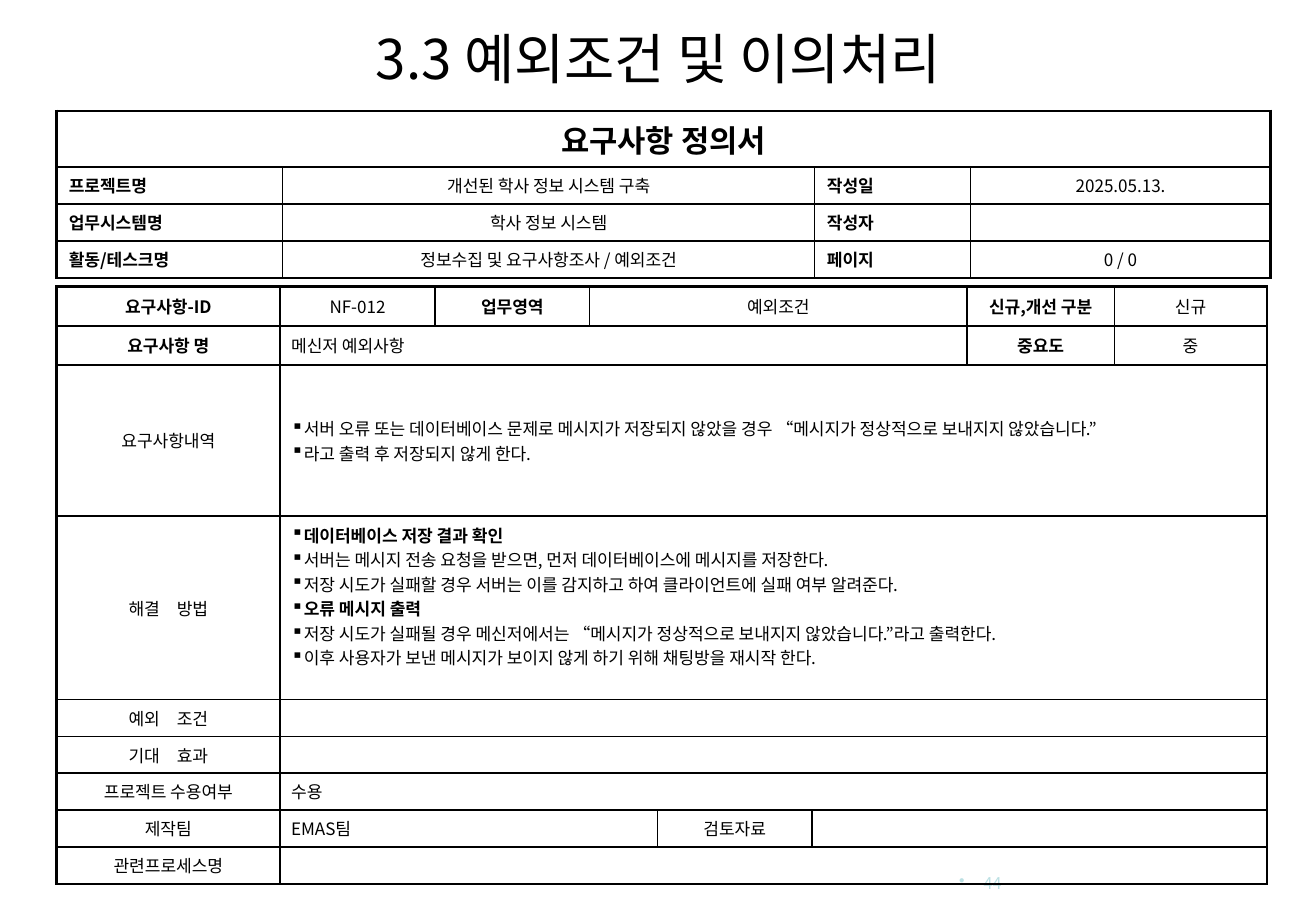
"""Build the requirement definition slide for exception handling."""
from pptx import Presentation
from pptx.dml.color import RGBColor
from pptx.enum.text import MSO_ANCHOR, PP_ALIGN
from pptx.oxml.ns import qn
from pptx.oxml.xmlchemy import OxmlElement
from pptx.util import Inches, Pt
from lxml.etree import SubElement

THEME = {
    "font": "Noto Sans CJK KR", "ink": "000000", "pale": "BBE0E3",
    "title": 32, "head": 18, "body": 10, "page": 9.5, "thin": 1, "thick": 1.5,
}
ALIGN = {"l": PP_ALIGN.LEFT, "c": PP_ALIGN.CENTER, "r": PP_ALIGN.RIGHT}
WIDE, HIGH = 10.71, 7.5
LEFT = 0.46


def write(frame, text, size="body", bold=False, align="l", ink="ink", mark=None, hang=0,
          heads=(), anchor=MSO_ANCHOR.MIDDLE):
    """Fill a text frame or cell, one paragraph per line."""
    frame.vertical_anchor = anchor
    body = getattr(frame, "text_frame", frame)
    body.word_wrap = True
    for i, line in enumerate(text.split("\n")):
        para = body.add_paragraph() if i else body.paragraphs[0]
        para.alignment = ALIGN[align]
        if mark:
            props = para._p.get_or_add_pPr()
            props.set("marL", str(Inches(hang)))
            props.set("indent", str(-Inches(hang)))
            SubElement(props, qn("a:buChar"), char=mark)
        if not line:
            SubElement(para._p, qn("a:endParaRPr"), sz=str(THEME[size] * 100))
            continue
        run = para.add_run()
        run.text = line
        font = run.font
        font.size, font.bold = Pt(THEME[size]), bold or line in heads
        font.color.rgb = RGBColor.from_string(THEME[ink])
        font.name = THEME["font"]
        SubElement(run._r.get_or_add_rPr(), qn("a:ea"), typeface=THEME["font"])


def grid(slide, top, cols, rows, cells, pad, thick):
    """Draw a ruled table; each cell is text, span and format."""
    shape = slide.shapes.add_table(len(rows), len(cols), Inches(LEFT), Inches(top),
                                   Inches(sum(cols)), Inches(sum(rows)))
    table = shape.table
    table.first_row = table.horz_banding = False
    for part, sizes in ((table.columns, cols), (table.rows, rows)):
        for item, size in zip(part, sizes):
            if part is table.columns:
                item.width = Inches(size)
            else:
                item.height = Inches(size)
    for r, row in enumerate(cells):
        c = 0
        for text, span, form in row:
            cell = table.cell(r, c)
            if span > 1:
                cell.merge(table.cell(r, c + span - 1))
            cell.margin_left = cell.margin_right = Inches(pad)
            cell.margin_top = cell.margin_bottom = Inches(0.05)
            write(cell, text, **form)
            for k in range(c, c + span):
                box = table.cell(r, k)
                box.fill.background()
                props = box._tc.get_or_add_tcPr()
                edges = {"L": c == 0, "R": c + span == len(cols),
                         "T": r in thick, "B": r + 1 in thick}
                for i, (side, bold) in enumerate(edges.items()):
                    line = OxmlElement(f"a:ln{side}")
                    line.set("w", str(Pt(THEME["thick" if bold else "thin"])))
                    fill = SubElement(line, qn("a:solidFill"))
                    SubElement(fill, qn("a:srgbClr"), val=THEME["ink"])
                    props.insert(i, line)
            c += span
    return table


deck = Presentation()
deck.slide_width, deck.slide_height = Inches(WIDE), Inches(HIGH)
slide = deck.slides.add_slide(deck.slide_layouts[6])

for text, spot, form in (
    ("3.3 예외조건 및 이의처리", (2.28, 0.19, 6.16, 0.55), {"size": "title", "align": "c"}),
    ("44", (7.64, 6.97, 0.61, 0.42),
     {"size": "page", "align": "r", "ink": "pale", "mark": "•", "hang": 0.2}),
):
    box = slide.shapes.add_textbox(*map(Inches, spot))
    write(box.text_frame, text, **form)

MID, BOLD, TEXT = {"align": "c"}, {"align": "c", "bold": True}, {}
NAME = {"bold": True, "anchor": MSO_ANCHOR.TOP}
DATA = {"align": "c", "anchor": MSO_ANCHOR.TOP}
LIST = {"mark": "▪", "heads": ("데이터베이스 저장 결과 확인", "오류 메시지 출력")}

need = """서버 오류 또는 데이터베이스 문제로 메시지가 저장되지 않았을 경우 “메시지가 정상적으로 보내지지 않았습니다.”
라고 출력 후 저장되지 않게 한다."""
cure = """데이터베이스 저장 결과 확인
서버는 메시지 전송 요청을 받으면, 먼저 데이터베이스에 메시지를 저장한다.
저장 시도가 실패할 경우 서버는 이를 감지하고 하여 클라이언트에 실패 여부 알려준다.
오류 메시지 출력
저장 시도가 실패될 경우 메신저에서는 “메시지가 정상적으로 보내지지 않았습니다.”라고 출력한다.
이후 사용자가 보낸 메시지가 보이지 않게 하기 위해 채팅방을 재시작 한다."""

facts = [
    ("프로젝트명", "개선된 학사 정보 시스템 구축", "작성일", "2025.05.13."),
    ("업무시스템명", "학사 정보 시스템", "작성자", ""),
    ("활동/테스크명", "정보수집 및 요구사항조사 / 예외조건", "페이지", "0 / 0"),
]
top = [[("요구사항 정의서", 4, {**BOLD, "size": "head"})]]
top += [[(text, 1, form) for text, form in zip(row, (NAME, DATA) * 2)] for row in facts]
main = [
    [("요구사항-ID", 1, BOLD), ("NF-012", 1, MID), ("업무영역", 1, BOLD),
     ("예외조건", 3, MID), ("신규,개선 구분", 1, BOLD), ("신규", 1, MID)],
    [("요구사항 명", 1, BOLD), ("메신저 예외사항", 5, TEXT), ("중요도", 1, BOLD), ("중", 1, MID)],
    [("요구사항내역", 1, MID), (need, 7, LIST)],
    [("해결　방법", 1, MID), (cure, 7, LIST)],
    [("예외　조건", 1, MID), ("", 7, TEXT)],
    [("기대　효과", 1, MID), ("", 7, TEXT)],
    [("프로젝트 수용여부", 1, MID), ("수용", 7, TEXT)],
    [("제작팀", 1, MID), ("EMAS팀", 3, TEXT), ("검토자료", 1, MID), ("", 3, TEXT)],
    [("관련프로세스명", 1, MID), ("", 7, TEXT)],
]

form = grid(slide, 2.33, [1.82, 1.26, 1.26, 0.55, 1.26, 1.26, 1.2, 1.24],
            [0.32, 0.32, 1.23, 1.49] + [0.3] * 5, main, 0.09, {0, 1, 2, 9})
form.cell(3, 1).margin_bottom = Inches(0.25)
grid(slide, 0.9, [1.84, 4.33, 1.27, 2.44], [0.46] + [0.3] * 3, top, 0.1, {0, 4})

deck.save("out.pptx")
